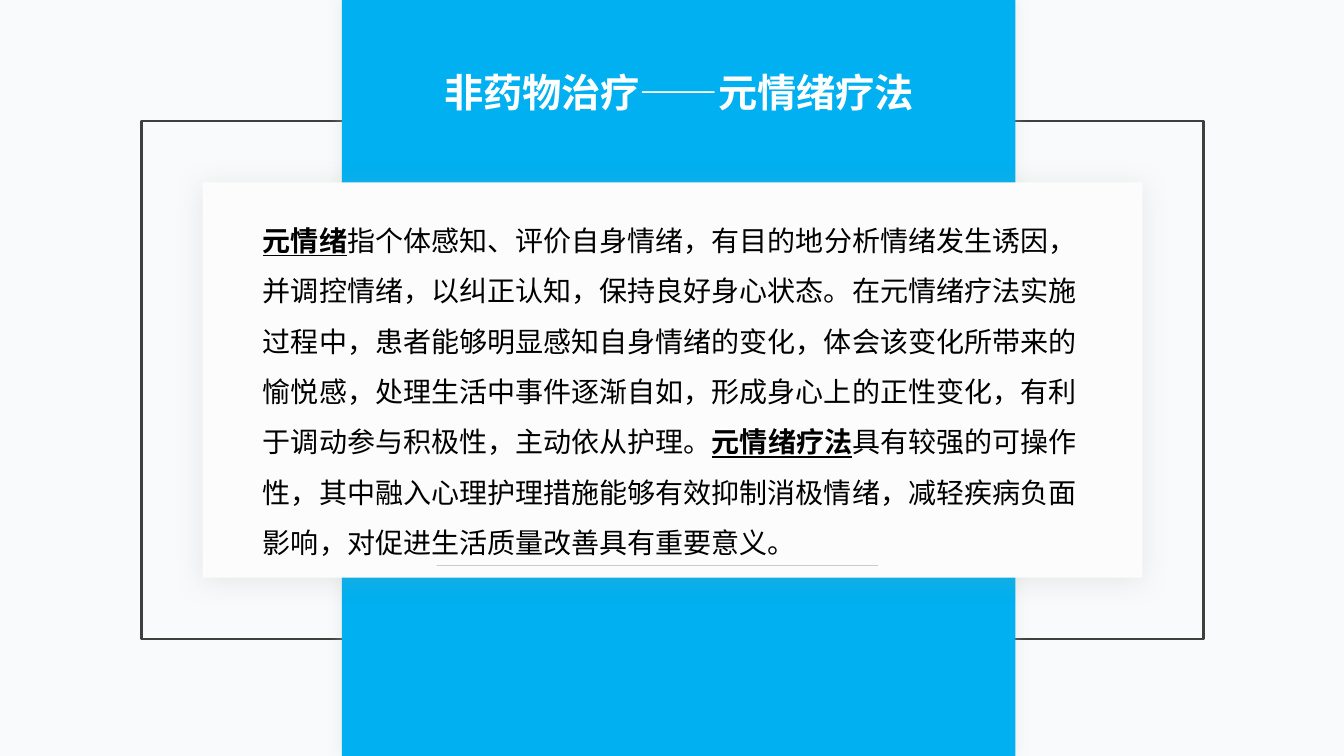
from dataclasses import dataclass

from lxml.etree import SubElement
from pptx import Presentation
from pptx.dml.color import RGBColor
from pptx.enum.shapes import MSO_CONNECTOR, MSO_SHAPE
from pptx.enum.text import PP_ALIGN
from pptx.oxml.ns import qn
from pptx.util import Inches, Pt


@dataclass(frozen=True)
class Theme:
    """Colours, font and type sizes of the slide."""
    background: str = "F9FAFB"
    frame: str = "3F403E"
    band: str = "00B0F0"
    band_shadow: str = "D5D7D5"
    card: str = "FCFCFD"
    card_shadow: str = "969F98"
    rule: str = "969F98"
    title: str = "FFFFFF"
    body: str = "000000"
    font: str = "Noto Sans CJK SC"
    title_size: int = 28
    body_size: int = 20


THEME = Theme()
TITLE = "非药物治疗——元情绪疗法"
BODY = [
    ("元情绪", True),
    ("指个体感知、评价自身情绪，有目的地分析情绪发生诱因，并调控情绪，以纠正认知，"
     "保持良好身心状态。在元情绪疗法实施过程中，患者能够明显感知自身情绪的变化，"
     "体会该变化所带来的愉悦感，处理生活中事件逐渐自如，形成身心上的正性变化，"
     "有利于调动参与积极性，主动依从护理。", False),
    ("元情绪疗法", True),
    ("具有较强的可操作性，其中融入心理护理措施能够有效抑制消极情绪，"
     "减轻疾病负面影响，对促进生活质量改善具有重要意义。", False),
]


def rgb(value):
    """Return a colour from its hex string."""
    return RGBColor.from_string(value)


def add_alpha(color, percent):
    """Set the opacity of a colour element."""
    SubElement(color, qn("a:alpha")).set("val", str(percent * 1000))


def add_shadow(sp, color, opacity, blur, distance=0, angle=0):
    """Give a shape an outer shadow."""
    effects = sp._element.spPr.find(qn("a:effectLst"))
    shadow = SubElement(effects, qn("a:outerShdw"), blurRad=str(Pt(blur)),
                        dist=str(Pt(distance)), dir=str(angle * 60000),
                        algn="ctr", rotWithShape="0")
    clr = SubElement(shadow, qn("a:srgbClr"), val=color)
    add_alpha(clr, opacity)


def add_rect(s, x, y, w, h, fill=None, line=None):
    """Add a plain rectangle with an optional fill and outline."""
    sp = s.shapes.add_shape(MSO_SHAPE.RECTANGLE, Inches(x), Inches(y), Inches(w), Inches(h))
    sp.shadow.inherit = False
    if fill:
        sp.fill.solid()
        sp.fill.fore_color.rgb = rgb(fill)
    else:
        sp.fill.background()
    if line:
        sp.line.color.rgb = rgb(line)
        sp.line.width = Pt(2)
    else:
        sp.line.fill.background()
    return sp


def add_text(s, x, y, w, h):
    """Add a wrapping text box and return its first paragraph."""
    tf = s.shapes.add_textbox(Inches(x), Inches(y), Inches(w), Inches(h)).text_frame
    tf.word_wrap = True
    return tf.paragraphs[0]


def style_run(r, size, color, bold, underline=False):
    """Format a run for both Latin and East Asian text."""
    r.font.name = THEME.font
    r.font.size = Pt(size)
    r.font.bold = bold
    r.font.underline = underline
    r.font.color.rgb = rgb(color)
    SubElement(r._r.get_or_add_rPr(), qn("a:ea"), typeface=THEME.font)


def add_band(s, x, y, w, h):
    """Draw the vertical band with the title near its top."""
    band = add_rect(s, x, y, w, h, fill=THEME.band)
    add_shadow(band, THEME.band_shadow, 40, 10)
    p = add_text(s, x - 0.25, y + 0.63, w + 0.51, 0.57)
    p.text = TITLE
    p.alignment = PP_ALIGN.CENTER
    style_run(p.runs[0], THEME.title_size, THEME.title, True)


def add_card(s, x, y, w, h):
    """Draw the card with its closing rule and body text."""
    card = add_rect(s, x, y, w, h, fill=THEME.card)
    add_shadow(card, THEME.card_shadow, 20, 20, 3, 90)
    rule_y = Inches(y + h - 0.12)
    rule = s.shapes.add_connector(MSO_CONNECTOR.STRAIGHT, Inches(x + 6.7), rule_y,
                                  Inches(x + 2.32), rule_y)
    rule.line.color.rgb = rgb(THEME.rule)
    rule.line.width = Pt(0.5)
    add_alpha(rule._element.spPr.find(".//" + qn("a:srgbClr")), 50)
    SubElement(rule._element.spPr, qn("a:effectLst"))
    p = add_text(s, x + 0.5, y + 0.19, w - 0.96, 2.57)
    p.line_spacing = 1.5
    for text, key_term in BODY:
        r = p.add_run()
        r.text = text
        style_run(r, THEME.body_size, THEME.body, key_term, key_term)


def main():
    """Build the slide and save it."""
    prs = Presentation()
    prs.slide_width, prs.slide_height = Inches(13.33), Inches(7.5)
    s = prs.slides.add_slide(prs.slide_layouts[6])
    s.background.fill.solid()
    s.background.fill.fore_color.rgb = rgb(THEME.background)
    add_rect(s, 1.4, 1.2, 10.54, 5.14, line=THEME.frame)
    add_band(s, 3.39, 0, 6.68, 7.5)
    add_card(s, 2.01, 1.81, 9.32, 3.92)
    prs.save("out.pptx")


if __name__ == "__main__":
    main()
